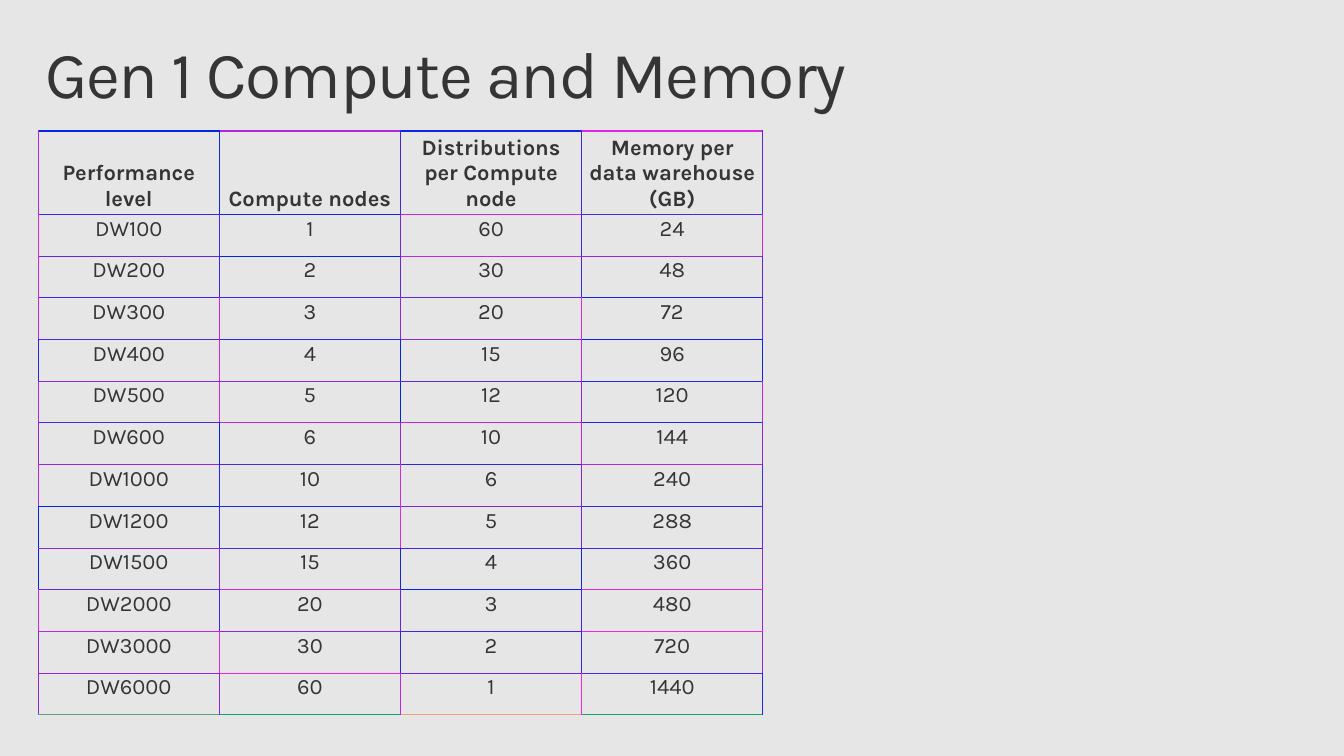
from lxml import etree
from pptx import Presentation
from pptx.dml.color import RGBColor
from pptx.enum import text
from pptx.oxml import ns
from pptx.util import Pt

COLOURS = {
    "page": "E6E6E6",
    "ink": "353535",
    "sage": "58A478",
    "green": "08A478",
    "orange": "F0A278",
    "teal": "10A678",
}
# Table rules use a ramp from blue (0) to magenta (F): the digit sets the red.
RAMP = "0123456789ABCDEF"
COLOURS.update({digit: f"{digit}026E1" for digit in RAMP})

HEADINGS = ("Performance level", "Compute nodes", "Distributions per Compute node",
            "Memory per data warehouse (GB)")
# Level, compute nodes, memory in GB
LEVELS = [
    ("DW100", 1, 24), ("DW200", 2, 48), ("DW300", 3, 72), ("DW400", 4, 96),
    ("DW500", 5, 120), ("DW600", 6, 144), ("DW1000", 10, 240), ("DW1200", 12, 288),
    ("DW1500", 15, 360), ("DW2000", 20, 480), ("DW3000", 30, 720), ("DW6000", 60, 1440),
]
DISTRIBUTIONS = 60  # shared evenly among the compute nodes
ROWS = [HEADINGS] + [(level, nodes, DISTRIBUTIONS // nodes, memory)
                     for level, nodes, memory in LEVELS]
LAST = len(ROWS) - 1

# One ramp digit per rule: upright rules row by row, level rules from the top edge down
UPRIGHT_RULES = ("B1446 E574D D4646 CC9E6 2D0C1 BD09C 909C9 "
                 "B2D85 03E76 08119 D4649 9E339 99CF2").split()
LEVEL_RULES = ("0B1E 41D5 60C9 4461 5390 9962 5CC2 "
               "953B 0283 9544 6D0E C94F 9F75").split()
LEVEL_RULES.append(("sage", "green", "orange", "teal"))

TABLE_LEFT, TABLE_TOP = 27.8, 95.4
COLUMN_WIDTH, HEADER_HEIGHT, ROW_HEIGHT = 132, 52, 30.4
OUTER_LINE, INNER_LINE = 1, 0.38


def set_font(para, size, bold=False):
    para.font.name = "Karla"
    para.font.size = Pt(size)
    para.font.bold = bold
    para.font.color.rgb = RGBColor.from_string(COLOURS["ink"])


def set_borders(cell, borders):
    """Draw (tag, colour name, width) borders, in schema order: lnL, lnR, lnT, lnB."""
    properties = cell._tc.get_or_add_tcPr()
    for index, (tag, colour, width) in enumerate(borders):
        line = etree.Element(ns.qn(f"a:{tag}"), w=str(int(Pt(width))))
        fill = etree.SubElement(line, ns.qn("a:solidFill"))
        etree.SubElement(fill, ns.qn("a:srgbClr"), val=COLOURS[colour])
        properties.insert(index, line)


deck = Presentation()
deck.slide_width, deck.slide_height = Pt(979.2), Pt(550.8)
page = deck.slides.add_slide(deck.slide_layouts[6])
page.background.fill.solid()
page.background.fill.fore_color.rgb = RGBColor.from_string(COLOURS["page"])

# Title
title = page.shapes.add_textbox(Pt(21.6), Pt(23), Pt(936), Pt(72)).text_frame
title.word_wrap = True
title.margin_left = title.margin_right = Pt(11.5)
title.margin_top = title.margin_bottom = Pt(7.2)
para = title.paragraphs[0]
span = para.add_run()
span.text = "Gen 1 Compute and Memory"
span._r.get_or_add_rPr().set("spc", "-100")
para.line_spacing = 0.9
set_font(para, 48)

# Table
table = page.shapes.add_table(
    len(ROWS), len(HEADINGS), Pt(TABLE_LEFT), Pt(TABLE_TOP),
    Pt(COLUMN_WIDTH * len(HEADINGS)), Pt(HEADER_HEIGHT + ROW_HEIGHT * LAST)).table
table.first_row = table.horz_banding = False
for column in table.columns:
    column.width = Pt(COLUMN_WIDTH)

for r, values in enumerate(ROWS):
    header = r == 0
    table.rows[r].height = Pt(HEADER_HEIGHT if header else ROW_HEIGHT)
    upright, above, below = UPRIGHT_RULES[r], LEVEL_RULES[r], LEVEL_RULES[r + 1]
    for c, value in enumerate(values):
        cell = table.cell(r, c)
        cell.fill.background()
        cell.margin_left = cell.margin_right = Pt(2.2)
        cell.margin_top = cell.margin_bottom = Pt(1.5)
        cell.vertical_anchor = text.MSO_ANCHOR.BOTTOM if header else text.MSO_ANCHOR.TOP
        cell.text = str(value)
        para = cell.text_frame.paragraphs[0]
        para.alignment = text.PP_ALIGN.CENTER
        set_font(para, 16, bold=header)
        set_borders(cell, [
            ("lnL", upright[c], OUTER_LINE),
            ("lnR", upright[c + 1], OUTER_LINE),
            ("lnT", above[c], OUTER_LINE if header else INNER_LINE),
            ("lnB", below[c], OUTER_LINE if r == LAST else INNER_LINE),
        ])

deck.save("out.pptx")
